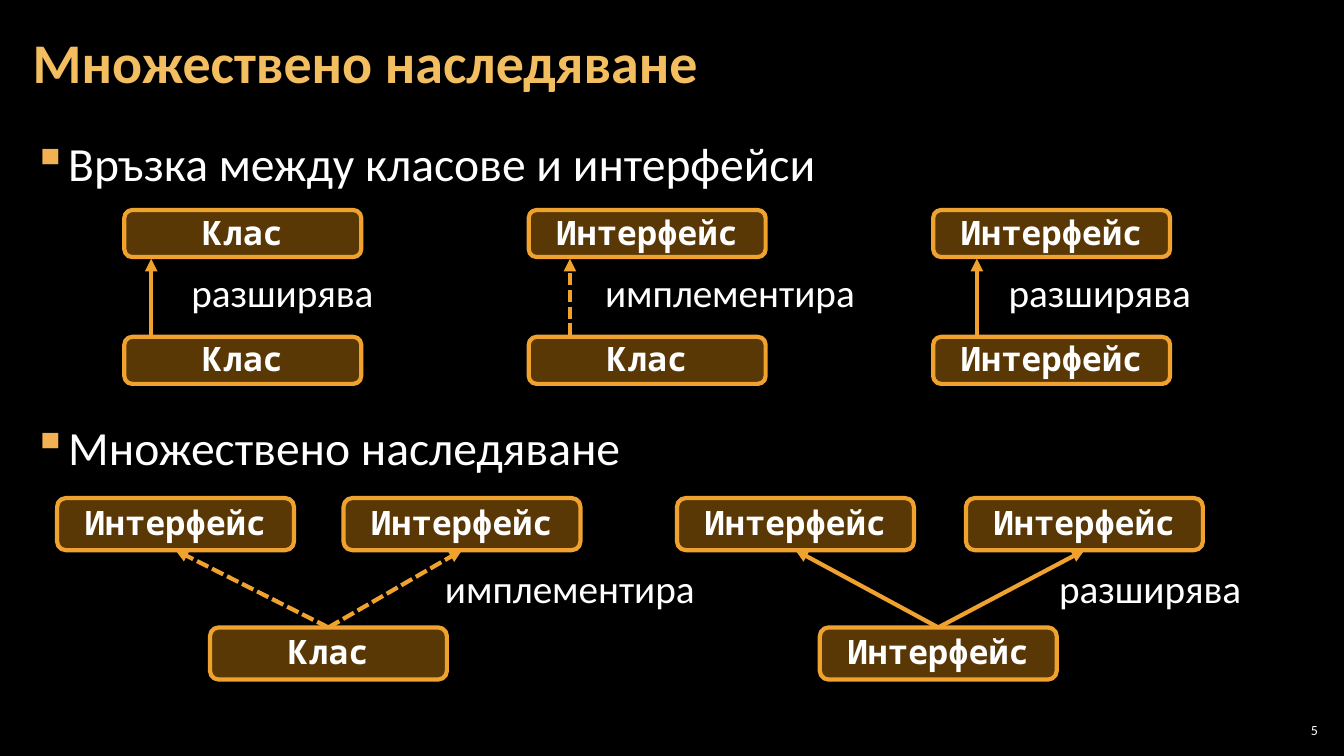
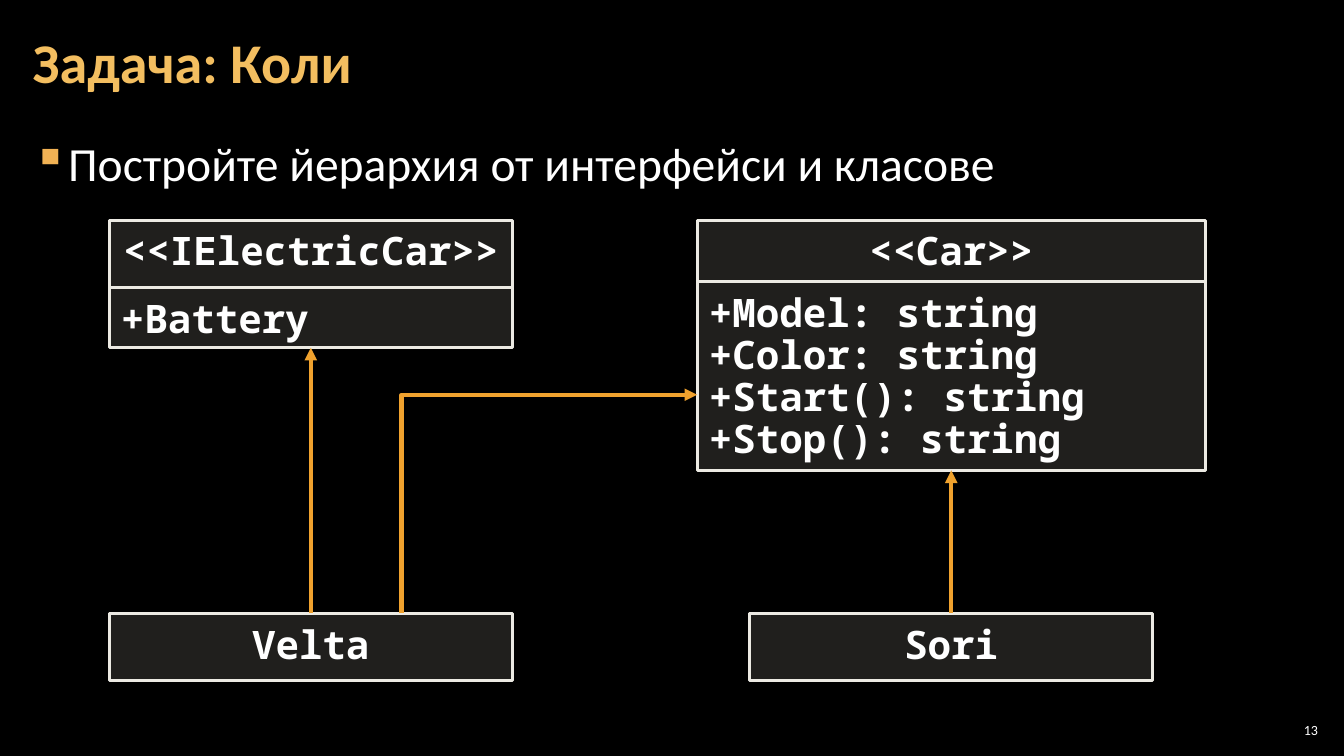
from lxml.etree import SubElement
from pptx import Presentation
from pptx.dml.color import RGBColor
from pptx.enum.dml import MSO_LINE
from pptx.enum.shapes import MSO_CONNECTOR, MSO_SHAPE
from pptx.enum.text import MSO_ANCHOR, MSO_AUTO_SIZE, PP_ALIGN
from pptx.oxml.ns import qn
from pptx.util import Emu, Inches, Pt

STRAIGHT, ELBOW = MSO_CONNECTOR.STRAIGHT, MSO_CONNECTOR.ELBOW
ROUNDED, RECTANGLE = MSO_SHAPE.ROUNDED_RECTANGLE, MSO_SHAPE.RECTANGLE
LEFT, CENTER, RIGHT = PP_ALIGN.LEFT, PP_ALIGN.CENTER, PP_ALIGN.RIGHT
TOP, MIDDLE = MSO_ANCHOR.TOP, MSO_ANCHOR.MIDDLE
SITE_TOP, SITE_BOTTOM = 0, 2

BLACK = RGBColor(0x00, 0x00, 0x00)
WHITE = RGBColor(0xFF, 0xFF, 0xFF)
GOLD = RGBColor(0xF3, 0xBE, 0x60)
ORANGE = RGBColor(0xF0, 0xA2, 0x2E)
BROWN = RGBColor(0xC8, 0x7D, 0x0E)
SAND = RGBColor(0xD9, 0xD5, 0xC7)
IVORY = RGBColor(0xEC, 0xEA, 0xE3)
BULLET = "F2B254"

# The slide is a grid of 160 columns by 90 rows of square cells.
WIDTH, HEIGHT = Inches(13.3333), Inches(7.5)
CELL = HEIGHT / 90

CODE = dict(font="Noto Sans Mono", bold=True, align=CENTER)
NODE = dict(kind=ROUNDED, fill=BROWN, opacity=45, line=ORANGE, line_width=3,
            size=24, spacing=0.95, anchor=MIDDLE, wrap=False, **CODE)
UML = dict(kind=RECTANGLE, fill=SAND, opacity=15, line=IVORY, line_width=2,
           size=28, spacing=Pt(30), margins=(1.4, 1.4), **CODE)
LABEL = dict(size=28, wrap=False)
HEADING = dict(size=40, color=GOLD, bold=True, anchor=MIDDLE, spacing=0.9,
               margins=(1.4, 0.5))
POINT = dict(size=34, spacing=1.05, margins=(1.4, 0.5), bullet=True)
PAGE_NUMBER = dict(size=10, align=RIGHT, anchor=MIDDLE, margins=(0.5, 0.5))


def write(shape, text, *, size, font="Calibri", color=WHITE, bold=False,
          align=LEFT, anchor=TOP, wrap=True, spacing=None, margins=(1.2, 0.6),
          bullet=False):
    """Fill a shape with one paragraph per line; margins are in grid cells."""
    frame = shape.text_frame
    frame.text = text
    frame.auto_size = MSO_AUTO_SIZE.NONE
    frame.word_wrap = wrap
    frame.vertical_anchor = anchor
    frame.margin_left = frame.margin_right = int(margins[0] * CELL)
    frame.margin_top = frame.margin_bottom = int(margins[1] * CELL)
    for paragraph in frame.paragraphs:
        paragraph.alignment = align
        if spacing:
            paragraph.line_spacing = spacing
        if bullet:
            props = paragraph._p.get_or_add_pPr()
            indent = int(4 * CELL)
            props.set("marL", str(indent))
            props.set("indent", str(-indent))
            tint = SubElement(props, qn("a:buClr"))
            SubElement(tint, qn("a:srgbClr")).set("val", BULLET)
            SubElement(props, qn("a:buChar")).set("char", "▪")
        for run in paragraph.runs:
            run.font.name = font
            run.font.size = Pt(size)
            run.font.bold = bold
            run.font.color.rgb = color


def place(slide, text, cells, *, kind=None, fill=None, opacity=100, line=None,
          line_width=0, **text_format):
    """Add a text box, or a filled shape of the given kind, on grid cells."""
    bounds = [Emu(int(cell * CELL)) for cell in cells]
    if kind is None:
        shape = slide.shapes.add_textbox(*bounds)
    else:
        shape = slide.shapes.add_shape(kind, *bounds)
        shape.shadow.inherit = False
        shape.fill.solid()
        shape.fill.fore_color.rgb = fill
        tone = shape._element.spPr.find(".//" + qn("a:srgbClr"))
        SubElement(tone, qn("a:alpha")).set("val", str(opacity * 1000))
        shape.line.color.rgb = line
        shape.line.width = Pt(line_width)
    write(shape, text, **text_format)
    return shape


prs = Presentation()
prs.slide_width, prs.slide_height = WIDTH, HEIGHT
background = prs.slide_master.background.fill
background.solid()
background.fore_color.rgb = BLACK

# Titles, bullet points with their top row, and page numbers
pages = [
    ("Множествено наследяване", "5",
     [("Връзка между класове и интерфейси", 15.1),
      ("Множествено наследяване", 48.9)]),
    ("Задача: Коли", "13",
     [("Постройте йерархия от интерфейси и класове", 15.1)]),
]
slides = []
for heading, number, points in pages:
    slide = prs.slides.add_slide(prs.slide_layouts[5])
    title = slide.shapes.title
    title.left, title.top = int(2.5 * CELL), int(0.5 * CELL)
    title.width, title.height = int(125.6 * CELL), int(14.5 * CELL)
    write(title, heading, **HEADING)
    for point, top in points:
        place(slide, point, (2.5, top, 155, 9), **POINT)
    place(slide, number, (151.8, 85.7, 5.6, 2.5), **PAGE_NUMBER)
    slides.append(slide)
inheritance, cars = slides
arrows = []  # (connector, dashed)

# Single inheritance: three equally spaced pairs
NODE_WIDTH = 28.2
pairs = [
    ("Клас", "Клас", "разширява", 3.2, 6.8, False),
    ("Интерфейс", "Клас", "имплементира", 4.9, 7.9, True),
    ("Интерфейс", "Интерфейс", "разширява", 5.2, 7.8, False),
]
for index, (parent, child, relation, arrow_shift, label_shift, dashed) in enumerate(pairs):
    left = 14.8 + 48.15 * index
    place(inheritance, parent, (left, 25, NODE_WIDTH, 5.6), **NODE)
    place(inheritance, child, (left, 40.1, NODE_WIDTH, 5.6), **NODE)
    place(inheritance, relation, (left + label_shift, 31.4, 32.4, 6.8), **LABEL)
    ends = (left + arrow_shift, 40, left + arrow_shift, 30.8)
    arrow = inheritance.shapes.add_connector(STRAIGHT, *(int(end * CELL) for end in ends))
    arrows.append((arrow, dashed))

# Multiple inheritance: one child under two interfaces
families = [
    ("Клас", 25, (6.8, 40.9), "имплементира", 51.8, True),
    ("Интерфейс", 97.6, (80.6, 115), "разширява", 124.9, False),
]
for child, child_left, parent_lefts, relation, label_left, dashed in families:
    heir = place(inheritance, child, (child_left, 74.7, NODE_WIDTH, 6.2), **NODE)
    for left in parent_lefts:
        parent = place(inheritance, "Интерфейс", (left, 59.3, NODE_WIDTH, 6.2), **NODE)
        arrow = inheritance.shapes.add_connector(STRAIGHT, 0, 0, 0, 0)
        arrow.begin_connect(heir, SITE_TOP)
        arrow.end_connect(parent, SITE_BOTTOM)
        arrows.append((arrow, dashed))
    place(inheritance, relation, (label_left, 66.6, 32.4, 6.8), **LABEL)

# Car hierarchy: each interface above the class that derives from it
CLASS_WIDTH = 48
car_members = "+Model: string\n+Color: string\n+Start(): string\n+Stop(): string"
hierarchies = [
    ("<<IElectricCar>>", "+Battery", "Velta", 13, 48, 8, 7.2),
    ("<<Car>>", car_members, "Sori", 83, 60.5, 7.3, 22.5),
]
for interface, members, model, left, width, head_rows, member_rows in hierarchies:
    place(cars, interface, (left, 26.2, width, head_rows), **UML)
    body = place(cars, members, (left, 26.2 + head_rows, width, member_rows),
                 **{**UML, "align": LEFT})
    model_left = left + (width - CLASS_WIDTH) / 2
    derived = place(cars, model, (model_left, 73, CLASS_WIDTH, 8), **UML)
    arrow = cars.shapes.add_connector(STRAIGHT, 0, 0, 0, 0)
    arrow.begin_connect(derived, SITE_TOP)
    arrow.end_connect(body, SITE_BOTTOM)
    arrows.append((arrow, False))

# The electric model also derives from Car: straight up, then right
elbow = cars.shapes.add_connector(ELBOW, *(int(end * CELL) for end in (47.8, 73, 83, 47)))
bend = elbow._element.spPr.find(qn("a:prstGeom")).find(qn("a:avLst"))
guide = SubElement(bend, qn("a:gd"))
guide.set("name", "adj1")
guide.set("fmla", "val 0")
arrows.append((elbow, False))

for arrow, dashed in arrows:
    arrow.line.color.rgb = ORANGE
    arrow.line.width = Pt(3)
    if dashed:
        arrow.line.dash_style = MSO_LINE.SQUARE_DOT
    properties = arrow._element.spPr
    SubElement(properties.find(qn("a:ln")), qn("a:tailEnd")).set("type", "triangle")
    SubElement(properties, qn("a:effectLst"))

prs.save("out.pptx")
